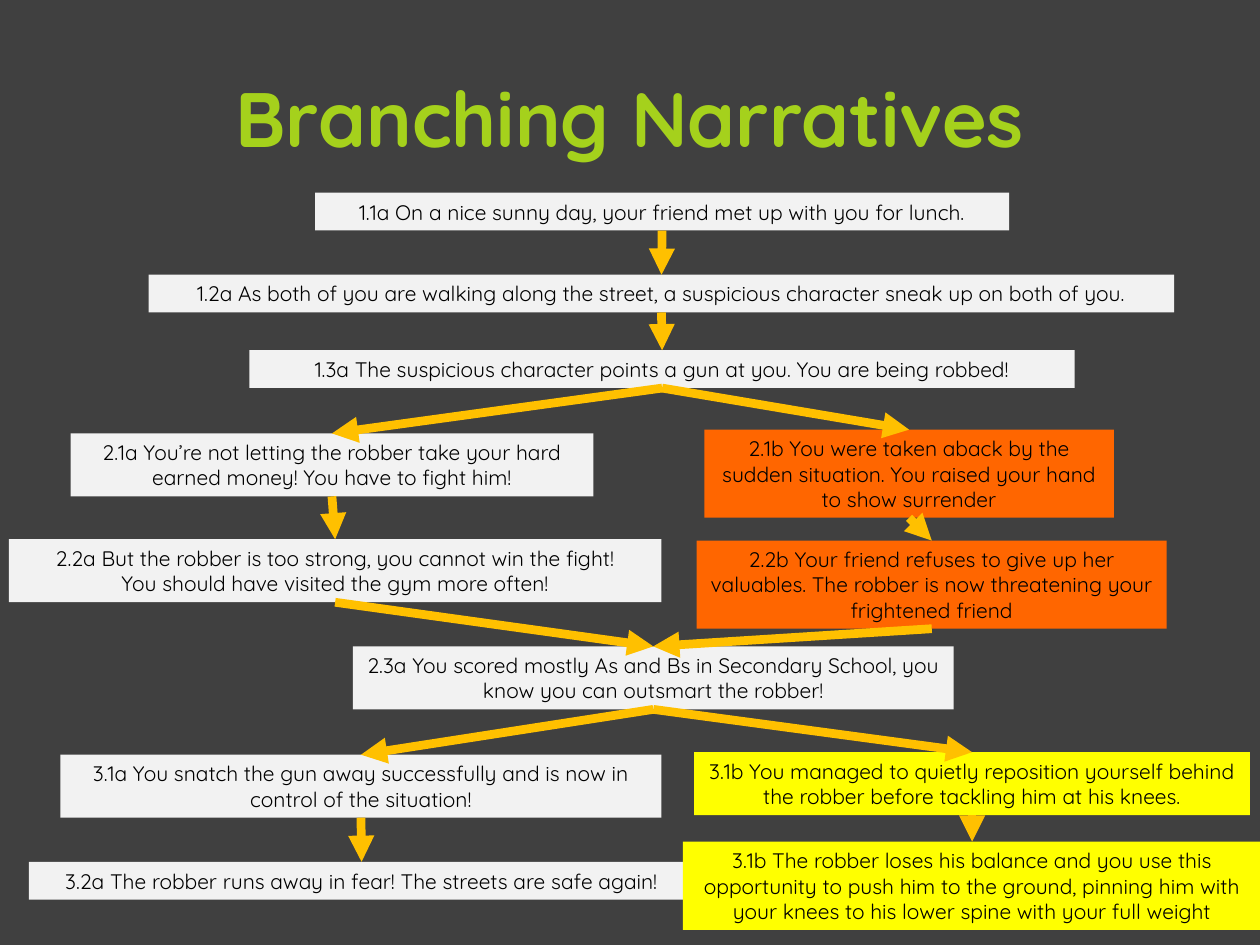
from dataclasses import dataclass

from lxml import etree
from pptx import Presentation
from pptx.dml.color import RGBColor
from pptx.enum import shapes, text
from pptx.oxml.ns import qn
from pptx.util import Inches, Pt


@dataclass(frozen=True)
class Theme:
    font: str = "Quicksand"
    back: str = "404040"
    title: str = "A5D11C"
    ink: str = "000000"
    main: str = "F2F2F2"
    surrender: str = "FF6600"
    tackle: str = "FFFF00"
    arrow: str = "FFC000"
    title_size: int = 44
    body_size: int = 12
    arrow_width: int = 5


THEME = Theme()
COLS, ROWS = 10, 7.5  # one grid unit is one inch
TITLE_BOX = (0.5, 0.3, 9, 1.25)
FLOW_BOX = (0, 1.53, COLS, ROWS - 1.53)
TOP, BOTTOM = 0, 2  # connection sites of a rectangle

# name: (left, top, width) in the flow box, lines of text, fill, wording
STEPS = {
    "meet": (2.5, 0, 5.51, 1, THEME.main,
             "1.1a On a nice sunny day, your friend met up with you for lunch."),
    "walk": (1.18, 0.65, 8.14, 1, THEME.main,
             "1.2a As both of you are walking along the street, "
             "a suspicious character sneak up on both of you."),
    "robbed": (1.98, 1.25, 6.55, 1, THEME.main,
               "1.3a The suspicious character points a gun at you. "
               "You are being robbed!"),
    "fight": (0.56, 1.91, 4.15, 2, THEME.main,
              "2.1a You’re not letting the robber take your hard earned money! "
              "You have to fight him!"),
    "lose": (0.07, 2.75, 5.18, 2, THEME.main,
             "2.2a But the robber is too strong, you cannot win the fight!\n"
             "You should have visited the gym more often!"),
    "outsmart": (2.8, 3.6, 4.77, 2, THEME.main,
                 "2.3a You scored mostly As and Bs in Secondary School, "
                 "you know you can outsmart the robber!"),
    "snatch": (0.48, 4.46, 4.77, 2, THEME.main,
               "3.1a You snatch the gun away successfully and is now "
               "in control of the situation!"),
    "safe": (0.23, 5.31, 5.28, 1, THEME.main,
             "3.2a The robber runs away in fear! The streets are safe again!"),
    "surrender": (5.59, 1.88, 3.25, 3, THEME.surrender,
                  "2.1b You were taken aback by the sudden situation. "
                  "You raised your hand to show surrender"),
    "threat": (5.53, 2.76, 3.73, 3, THEME.surrender,
               "2.2b Your friend refuses to give up her valuables. "
               "The robber is now threatening your frightened friend"),
    "tackle": (5.51, 4.44, 4.41, 2, THEME.tackle,
               "3.1b You managed to quietly reposition yourself behind "
               "the robber before tackling him at his knees."),
    "pin": (5.42, 5.15, 4.59, 3, THEME.tackle,
            "3.1b The robber loses his balance and you use this opportunity "
            "to push him to the ground, pinning him with your knees to his "
            "lower spine with your full weight"),
}

# Each path is a chain of steps joined by arrows
PATHS = [
    ("meet", "walk", "robbed", "fight", "lose", "outsmart", "snatch", "safe"),
    ("robbed", "surrender", "threat", "outsmart", "tackle", "pin"),
]


def rgb(value):
    return RGBColor.from_string(value)


def write(tf, wording, size, color, bold=False):
    tf.word_wrap = True
    tf.vertical_anchor = text.MSO_ANCHOR.MIDDLE
    for i, line in enumerate(wording.split("\n")):
        p = tf.add_paragraph() if i else tf.paragraphs[0]
        p.alignment = text.PP_ALIGN.CENTER
        r = p.add_run()
        r.text = line
        r.font.name = THEME.font
        r.font.size = Pt(size)
        r.font.bold = bold
        r.font.color.rgb = rgb(color)


def add_title(slide, box):
    sp = slide.shapes.title
    sp.left, sp.top, sp.width, sp.height = map(Inches, box)
    write(sp.text_frame, "Branching Narratives",
          THEME.title_size, THEME.title, bold=True)


def add_step(slide, box, fill, wording):
    sp = slide.shapes.add_shape(shapes.MSO_SHAPE.RECTANGLE, *map(Inches, box))
    sp.shadow.inherit = False
    sp.fill.solid()
    sp.fill.fore_color.rgb = rgb(fill)
    sp.line.fill.background()
    write(sp.text_frame, wording, THEME.body_size, THEME.ink)
    sp.text_frame.auto_size = text.MSO_AUTO_SIZE.SHAPE_TO_FIT_TEXT
    return sp


def add_arrow(slide, start, end):
    cx = slide.shapes.add_connector(shapes.MSO_CONNECTOR.STRAIGHT, 0, 0, 0, 0)
    cx.begin_connect(start, BOTTOM)
    cx.end_connect(end, TOP)
    cx.line.color.rgb = rgb(THEME.arrow)
    cx.line.width = Pt(THEME.arrow_width)
    etree.SubElement(cx.line._get_or_add_ln(), qn("a:tailEnd"), type="triangle")
    etree.SubElement(cx._element.spPr, qn("a:effectLst"))


def add_flow(slide, box):
    x, y, _, _ = box
    # Story steps, as tall as their lines need
    steps = {}
    for name, (left, top, width, lines, fill, wording) in STEPS.items():
        place = (x + left, y + top, width, 0.1 + 0.2 * lines)
        steps[name] = add_step(slide, place, fill, wording)
    # Arrows between consecutive steps
    for names in PATHS:
        for start, end in zip(names, names[1:]):
            add_arrow(slide, steps[start], steps[end])


def main():
    prs = Presentation()
    prs.slide_width, prs.slide_height = Inches(COLS), Inches(ROWS)
    slide = prs.slides.add_slide(prs.slide_layouts[5])
    slide.background.fill.solid()
    slide.background.fill.fore_color.rgb = rgb(THEME.back)
    add_title(slide, TITLE_BOX)
    add_flow(slide, FLOW_BOX)
    prs.save("out.pptx")


if __name__ == "__main__":
    main()
